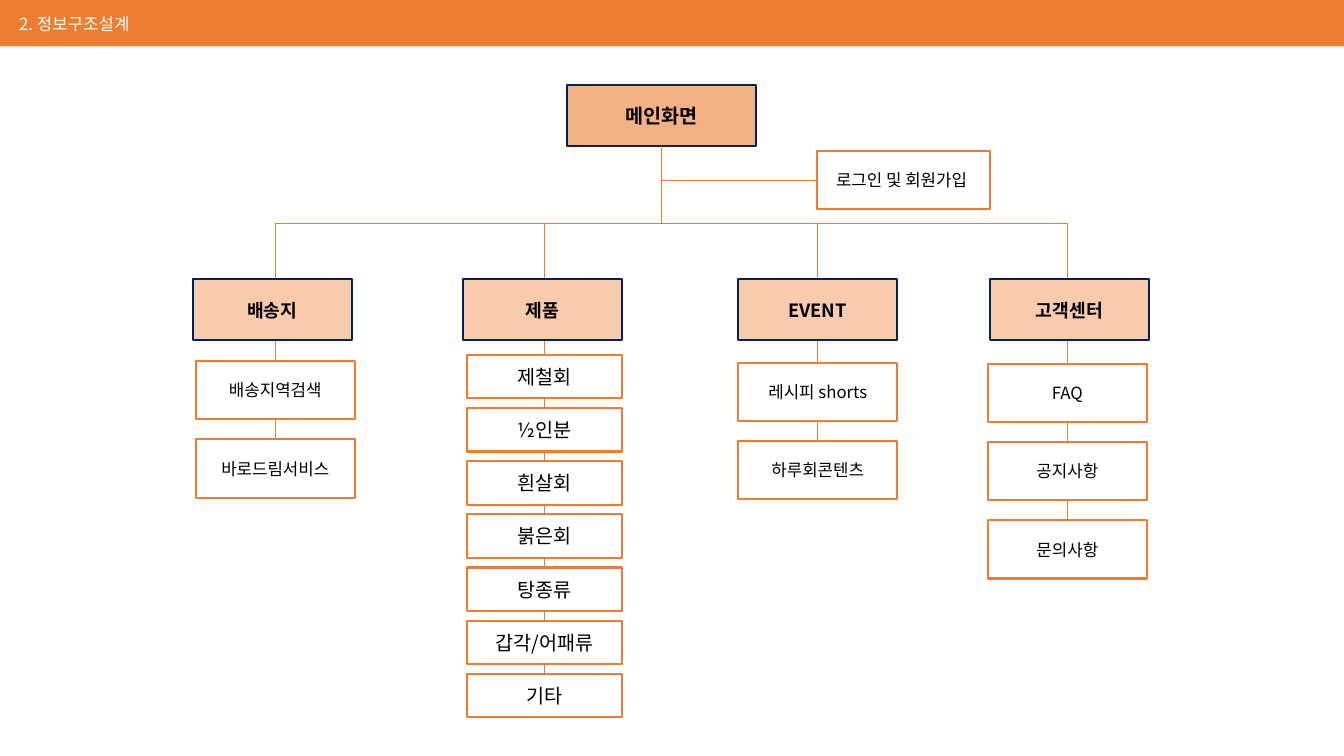
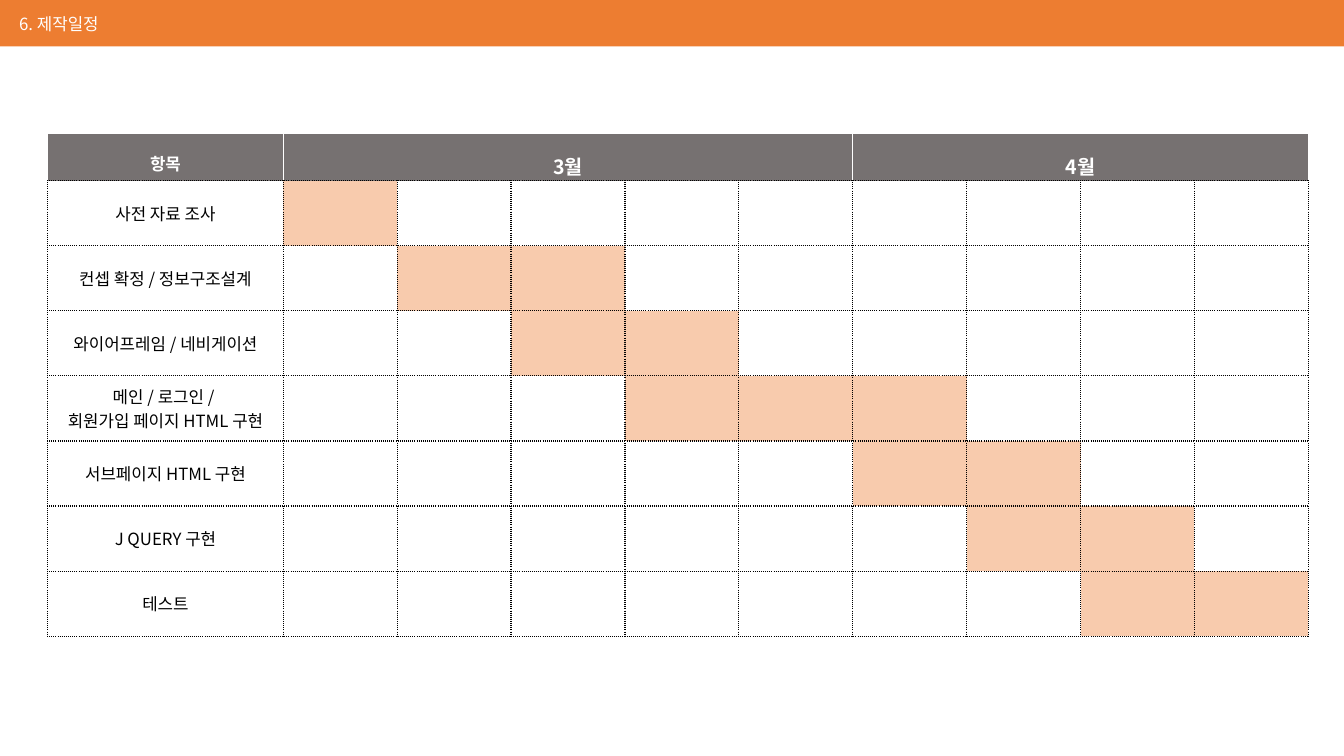
from lxml.etree import SubElement
from pptx import Presentation
from pptx.dml.color import RGBColor
from pptx.enum.shapes import MSO_CONNECTOR as Connector, MSO_SHAPE as Preset
from pptx.enum.text import MSO_ANCHOR as Anchor, PP_ALIGN as Align
from pptx.oxml import parse_xml
from pptx.oxml.ns import nsdecls, qn
from pptx.util import Cm, Pt

FONT = "Noto Sans CJK KR"
ORANGE, PEACH, LIGHT_PEACH = "ED7D31", "F4B183", "F8CBAD"
NAVY, GRAY, BLACK, WHITE = "002060", "767171", "000000", "FFFFFF"
SLIDE_WIDTH, SLIDE_HEIGHT, BAND_HEIGHT = 33.87, 19.05, 1.17

SITEMAP_TITLE = "2. 정보구조설계"
HOME = ("메인화면", 16.67, 2.14, 4.75, 1.55)
LOGIN = ("로그인 및 회원가입 ", 22.77, 3.8, 4.34, 1.47)
BUS_TOP, HEADER_TOP = 5.62, 7.03
HEADER_SIZE = (4.01, 1.55)
WIDE_ITEM = dict(width=4.01, height=1.47, step=1.97, size=12)
SLIM_ITEM = dict(width=3.91, height=1.1, step=1.34, size=14)
MENUS = [
    ("배송지", 6.86, 6.94, 9.1, WIDE_ITEM, ["배송지역검색", "바로드림서비스"]),
    ("제품", 13.67, 13.72, 8.94, SLIM_ITEM,
     ["제철회", "½인분", "흰살회", "붉은회", "탕종류", "갑각/어패류", "기타"]),
    ("EVENT", 20.6, 20.61, 9.14, WIDE_ITEM, ["레시피 shorts", "하루회콘텐츠"]),
    ("고객센터", 26.95, 26.9, 9.17, WIDE_ITEM, ["FAQ", "공지사항", "문의사항"]),
]

SCHEDULE_TITLE = "6. 제작일정"
SCHEDULE_LEFT, SCHEDULE_TOP = 1.2, 3.36
LABEL_WIDTH, WEEK_WIDTH = 5.94, 2.87
HEADING_HEIGHT, TASK_HEIGHT = 1.19, 1.64
HEADINGS = [("항목", 0, 0, 12, 0), ("3월", 1, 5, 14, 0.11), ("4월", 6, 9, 14, 0.11)]
WEEK_COUNT = 9
TASKS = [
    ("사전 자료 조사", 1, 1),
    ("컨셉 확정 / 정보구조설계", 2, 3),
    ("와이어프레임 / 네비게이션", 3, 4),
    ("메인 / 로그인 / \n회원가입 페이지 HTML 구현", 4, 6),
    ("서브페이지 HTML 구현", 6, 7),
    ("J QUERY 구현", 7, 8),
    ("테스트", 8, 9),
]


def rgb(value):
    return RGBColor.from_string(value)


def paint(target, color):
    target.fill.solid()
    target.fill.fore_color.rgb = rgb(color)


def write(frame, text, size, color=BLACK, bold=False, align=Align.CENTER, spacing=None):
    frame.text = text
    for paragraph in frame.paragraphs:
        paragraph.alignment = align
        paragraph.line_spacing = spacing
        font = paragraph.font
        font.size, font.bold, font.name = Pt(size), bold, FONT
        font.color.rgb = rgb(color)
        defaults = paragraph._p.pPr.find(qn("a:defRPr"))
        SubElement(defaults, qn("a:ea")).set("typeface", FONT)


def add_titled_slide(presentation, layout, title):
    slide = presentation.slides.add_slide(layout)
    shape = slide.shapes.title
    shape.left, shape.top, shape.width, shape.height = Cm(0.23), Cm(0.22), Cm(10.5), Cm(0.76)
    shape.text_frame.vertical_anchor = Anchor.MIDDLE
    write(shape.text_frame, title, 12, WHITE, align=Align.LEFT)
    return slide


def add_rectangle(slide, left, top, width, height, fill):
    shape = slide.shapes.add_shape(Preset.RECTANGLE, Cm(left), Cm(top), Cm(width), Cm(height))
    shape.shadow.inherit = False
    paint(shape, fill)
    shape.line.fill.background()
    return shape


def add_band(slide, layout):
    band = add_rectangle(slide, 0, 0, SLIDE_WIDTH, BAND_HEIGHT, ORANGE)
    layout.shapes.element.insert(2, band.element)


def add_box(slide, text, center, top, width, height, size=12, fill=WHITE, line=ORANGE, bold=False):
    box = add_rectangle(slide, center - width / 2, top, width, height, fill)
    box.line.color.rgb = rgb(line)
    box.line.width = Pt(1.5)
    frame = box.text_frame
    frame.margin_left = frame.margin_right = Cm(0.1)
    frame.vertical_anchor = Anchor.MIDDLE
    frame.word_wrap = True
    write(frame, text, size, BLACK, bold)
    return box


def add_link(slide, start_x, start_y, end_x, end_y):
    link = slide.shapes.add_connector(Connector.STRAIGHT, Cm(start_x), Cm(start_y),
                                      Cm(end_x), Cm(end_y))
    link.line.color.rgb = rgb(ORANGE)
    link.line.width = Pt(0.5)
    SubElement(link.element.spPr, qn("a:effectLst"))
    return link


def add_menu(slide, name, header_center, item_center, first_top, style, items):
    width, height, step = style["width"], style["height"], style["step"]
    last_bottom = first_top + (len(items) - 1) * step + height
    trunk = add_link(slide, item_center, BUS_TOP, item_center, last_bottom)
    add_box(slide, name, header_center, HEADER_TOP, *HEADER_SIZE,
            size=13, fill=LIGHT_PEACH, line=NAVY, bold=True)
    for index, item in enumerate(items):
        box = add_box(slide, item, item_center, first_top + index * step,
                      width, height, style["size"])
    trunk.end_connect(box, 2)


def build_sitemap(slide):
    home = add_box(slide, *HOME, size=14, fill=PEACH, line=NAVY, bold=True)
    login = add_box(slide, *LOGIN)
    _, home_x, home_top, _, home_height = HOME
    _, login_center, login_top, login_width, login_height = LOGIN
    login_y = login_top + login_height / 2
    add_link(slide, home_x, home_top + home_height, home_x, BUS_TOP).begin_connect(home, 2)
    add_link(slide, home_x, login_y, login_center - login_width / 2, login_y).end_connect(login, 1)
    add_link(slide, MENUS[0][2], BUS_TOP, MENUS[-1][2], BUS_TOP)
    for menu in MENUS:
        add_menu(slide, *menu)


def set_borders(cell, borders):
    properties = cell._tc.get_or_add_tcPr()
    for index, (side, (color, dash)) in enumerate(zip("LRTB", borders)):
        properties.insert(index, parse_xml(
            f'<a:ln{side} {nsdecls("a")} w="12700"><a:solidFill><a:srgbClr val="{color}"/>'
            f'</a:solidFill><a:prstDash val="{dash}"/></a:ln{side}>'))


def build_schedule(slide):
    width = LABEL_WIDTH + WEEK_COUNT * WEEK_WIDTH
    height = HEADING_HEIGHT + len(TASKS) * TASK_HEIGHT
    table = slide.shapes.add_table(len(TASKS) + 1, WEEK_COUNT + 1, Cm(SCHEDULE_LEFT),
                                   Cm(SCHEDULE_TOP), Cm(width), Cm(height)).table
    table.first_row = table.horz_banding = False
    for index, column in enumerate(table.columns):
        column.width = Cm(WEEK_WIDTH if index else LABEL_WIDTH)
    for index, row in enumerate(table.rows):
        row.height = Cm(TASK_HEIGHT if index else HEADING_HEIGHT)

    dotted, solid = (BLACK, "sysDot"), (WHITE, "solid")
    for column in range(WEEK_COUNT + 1):
        heading = table.cell(0, column)
        paint(heading, GRAY)
        set_borders(heading, [solid, solid, solid, dotted])
        for row, (_, first, last) in enumerate(TASKS, 1):
            cell = table.cell(row, column)
            paint(cell, LIGHT_PEACH if first <= column <= last else WHITE)
            set_borders(cell, [dotted] * 4)

    for text, first, last, size, margin_top in HEADINGS:
        cell = table.cell(0, first)
        if last > first:
            cell.merge(table.cell(0, last))
        cell.margin_top, cell.margin_bottom = Cm(margin_top), 0
        cell.vertical_anchor = Anchor.MIDDLE
        write(cell.text_frame, text, size, WHITE, True, spacing=1.5)
    for row, (text, _, _) in enumerate(TASKS, 1):
        cell = table.cell(row, 0)
        cell.margin_left = cell.margin_right = Cm(0.1)
        cell.vertical_anchor = Anchor.MIDDLE
        write(cell.text_frame, text, 12)


def main():
    presentation = Presentation()
    presentation.slide_width, presentation.slide_height = Cm(SLIDE_WIDTH), Cm(SLIDE_HEIGHT)
    layout = presentation.slide_layouts[5]
    sitemap = add_titled_slide(presentation, layout, SITEMAP_TITLE)
    add_band(sitemap, layout)
    build_sitemap(sitemap)
    build_schedule(add_titled_slide(presentation, layout, SCHEDULE_TITLE))
    presentation.save("out.pptx")


if __name__ == "__main__":
    main()
